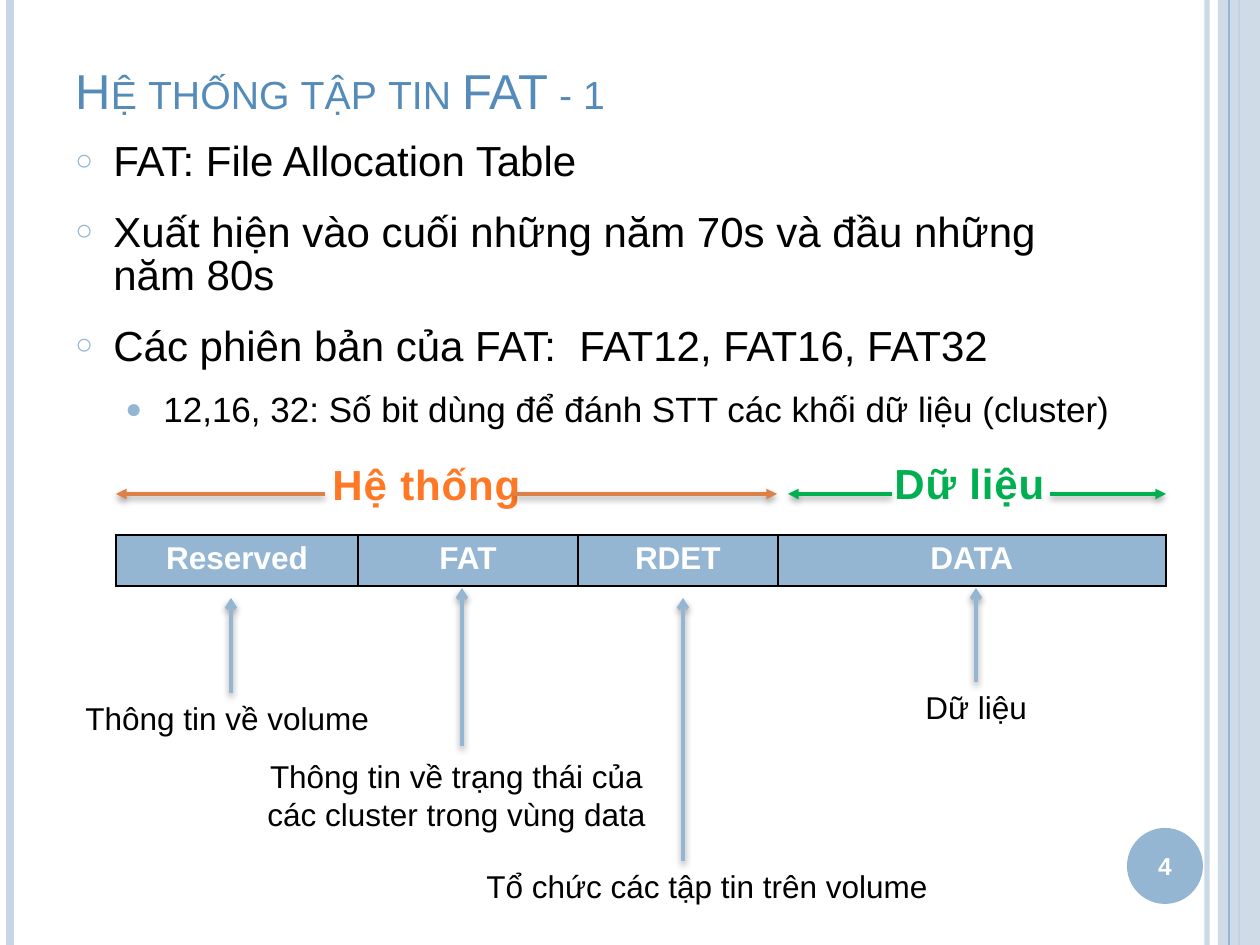
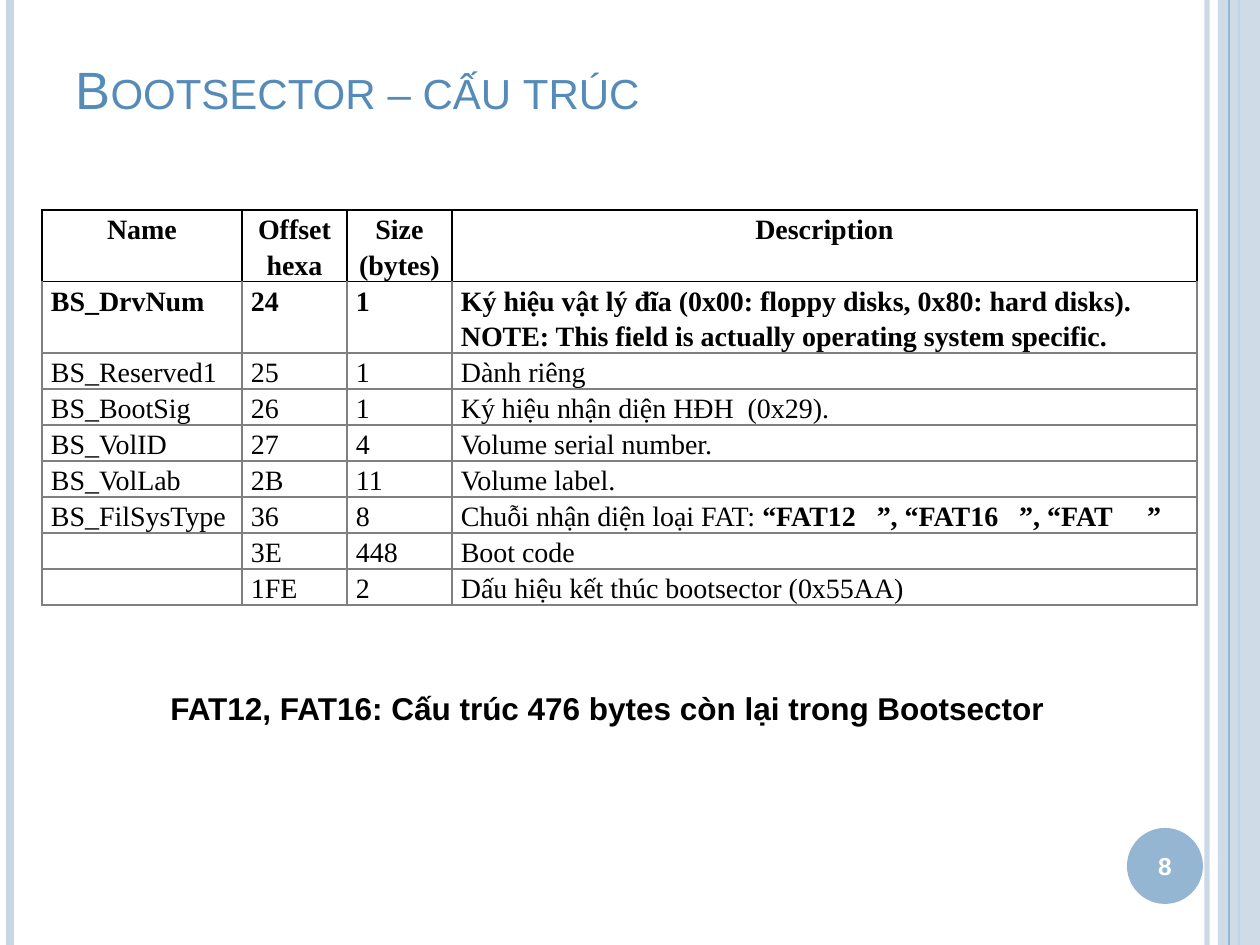
from lxml.etree import SubElement
from pptx import Presentation
from pptx.dml.color import RGBColor as RGB
from pptx.enum.shapes import MSO_CONNECTOR as CONNECTOR, MSO_SHAPE as SHAPE
from pptx.enum.text import MSO_ANCHOR as ANCHOR, MSO_AUTO_SIZE as AUTO, PP_ALIGN as ALIGN
from pptx.oxml.ns import qn
from pptx.util import Emu, Pt

WHITE = RGB(0xFF, 0xFF, 0xFF)
BLACK = RGB(0, 0, 0)
GREY = RGB(0x80, 0x80, 0x80)
BLUE = RGB(0x94, 0xB6, 0xD2)
PALE_BLUE = RGB(0xC8, 0xD7, 0xE5)
TITLE_BLUE = RGB(0x55, 0x8B, 0xB8)
ORANGE = RGB(0xDD, 0x80, 0x47)
BRIGHT_ORANGE = RGB(0xFF, 0x78, 0x25)
GREEN = RGB(0x00, 0xB0, 0x50)
SANS, SERIF = "Arial", "Times New Roman"
SLIDE_W, SLIDE_H = 1260, 945

FAT_POINTS = [
    (0, "FAT: File Allocation Table"),
    (0, "Xuất hiện vào cuối những năm 70s và đầu những năm 80s"),
    (0, "Các phiên bản của FAT:  FAT12, FAT16, FAT32"),
    (1, "12,16, 32: Số bit dùng để đánh STT các khối dữ liệu (cluster)"),
]
BULLET_LEVELS = [
    dict(char="○", bullet_size=70, indent=38, size=24, before=6),
    dict(char="●", bullet_size=80, indent=88, size=20, before=4),
]
VOLUME_AREAS = [("Reserved", 242), ("FAT", 220), ("RDET", 200), ("DATA", 388)]
AREA_NOTES = [
    ("Thông tin về volume", 158, 242, 147, (0, 242, 311, 50)),
    ("Thông tin về trạng thái của các cluster trong vùng data", 389, 295, 137,
     (158, 300, 451, 89)),
    ("Tổ chức các tập tin trên volume", 610, 410, 147, (401, 410, 471, 50)),
    ("Dữ liệu", 903, 231, 137, (840, 231, 129, 50)),
]
VOLUME_SPANS = [
    ("Hệ thống", BRIGHT_ORANGE, ORANGE, (247, 1, 215, 63), (43, 252), (441, 704)),
    ("Dữ liệu", GREEN, GREEN, (809, 0, 178, 63), (715, 819), (977, 1093)),
]
FIELD_WIDTHS = [200, 105, 105, 745]
FIELD_ROWS = [
    ("Name", "Offset\nhexa", "Size (bytes)", "Description"),
    ("BS_DrvNum", "24", "1",
     "Ký hiệu vật lý đĩa (0x00: floppy disks, 0x80: hard disks).\n"
     "NOTE: This field is actually operating system specific."),
    ("BS_Reserved1", "25", "1", "Dành riêng"),
    ("BS_BootSig", "26", "1", "Ký hiệu nhận diện HĐH  (0x29)."),
    ("BS_VolID", "27", "4", "Volume serial number."),
    ("BS_VolLab", "2B", "11", "Volume label."),
    ("BS_FilSysType", "36", "8", "Chuỗi nhận diện loại FAT: "),
    ("", "3E", "448", "Boot code"),
    ("", "1FE", "2", "Dấu hiệu kết thúc bootsector (0x55AA)"),
]
FAT_SIGNATURES = {"BS_FilSysType": "“FAT12   ”, “FAT16   ”, “FAT     ”"}


def px(length):
    """Turn px into EMU."""
    return Emu(round(length * 914400 / 126))


def write(frame, text, size=18, color=BLACK, font=SANS, bold=False, align=ALIGN.LEFT,
          line_spacing=None, bold_tail="", **run_attributes):
    """Write one paragraph per line of text and return the paragraphs."""
    lines = text.split("\n")
    paragraphs = [frame.paragraphs[0]] + [frame.add_paragraph() for _ in lines[1:]]
    for paragraph, line in zip(paragraphs, lines):
        paragraph.alignment = align
        if line_spacing:
            paragraph.line_spacing = line_spacing
        for words, weight in ((line, bold), (bold_tail, True)):
            if words:
                run = paragraph.add_run()
                run.text = words
                run.font.size, run.font.name, run.font.bold = Pt(size), font, weight
                run.font.color.rgb = color
                for key, value in run_attributes.items():
                    run.font._element.set(key, value)
        if not line:
            SubElement(paragraph._p, qn("a:endParaRPr"), sz=str(size * 100))
    return paragraphs


def add_label(slide, text, box, wrap=False, **style):
    """Add a text box that grows with its text."""
    frame = slide.shapes.add_textbox(*map(px, box)).text_frame
    frame.word_wrap = wrap
    frame.auto_size = AUTO.SHAPE_TO_FIT_TEXT
    write(frame, text, **style)


def set_alpha(shape, percent):
    """Make the first colour of a shape partly transparent."""
    colour = shape._element.spPr.find(".//" + qn("a:srgbClr"))
    SubElement(colour, qn("a:alpha"), val=str(percent * 1000))


def add_line(slide, start, end, color, width, head=None, tail=None, shadow=False):
    """Add a straight line with optional arrowheads and shadow."""
    line = slide.shapes.add_connector(CONNECTOR.STRAIGHT, *map(px, start + end))
    line.line.color.rgb = color
    line.line.width = Pt(width)
    properties = line._element.spPr
    for tag, kind in (("a:headEnd", head), ("a:tailEnd", tail)):
        if kind:
            SubElement(properties.find(qn("a:ln")), qn(tag), type=kind)
    effects = SubElement(properties, qn("a:effectLst"))
    if shadow:
        outer = SubElement(effects, qn("a:outerShdw"), blurRad=str(Pt(4)), dist=str(Pt(2)),
                           dir="5400000", rotWithShape="0")
        black = SubElement(outer, qn("a:srgbClr"), val=str(BLACK))
        SubElement(black, qn("a:alpha"), val="40000")
    return line


def add_preset(slide, preset, box, color):
    """Add a plain filled shape."""
    shape = slide.shapes.add_shape(preset, *map(px, box))
    shape.shadow.inherit = False
    shape.fill.solid()
    shape.fill.fore_color.rgb = color
    shape.line.fill.background()
    return shape


def add_side_bands(slide):
    """Draw the vertical bands at both slide edges."""
    def edge_line(x, color, width):
        return add_line(slide, (x, 0), (x, SLIDE_H), color, width)

    set_alpha(edge_line(1207, PALE_BLUE, 3), 93)
    edge_line(10, PALE_BLUE, 4.5)
    edge_line(1239, BLUE, 1.5)
    set_alpha(add_preset(slide, SHAPE.RECTANGLE, (1218, 0, 42, SLIDE_H), PALE_BLUE), 87)
    edge_line(1229, BLUE, 0.75)


def add_page_badge(slide, number, box):
    """Draw the round page number."""
    frame = add_preset(slide, SHAPE.OVAL, box, BLUE).text_frame
    frame.margin_left = frame.margin_right = frame.margin_top = frame.margin_bottom = 0
    frame.vertical_anchor = ANCHOR.MIDDLE
    write(frame, number, size=14, color=WHITE, bold=True, align=ALIGN.CENTER)


def start_slide(deck, heading, heading_size, number):
    """Add a title-only slide with the shared bands, title and page number."""
    slide = deck.slides.add_slide(deck.slide_layouts[5])
    add_side_bands(slide)
    add_page_badge(slide, number, (1127, 828, 76, 76))
    title = slide.shapes.title
    title.left, title.top, title.width, title.height = map(px, (63, 38, 1061, 88))
    title.text_frame.auto_size = AUTO.NONE
    title.text_frame.vertical_anchor = ANCHOR.BOTTOM
    write(title.text_frame, heading, size=heading_size, color=TITLE_BLUE, cap="small")
    return slide


def add_bullets(slide, points, box):
    """Write the bulleted points in the box."""
    frame = slide.shapes.add_textbox(*map(px, box)).text_frame
    frame.word_wrap = True
    levels = [BULLET_LEVELS[level] for level, _ in points]
    text = "\n".join(point for _, point in points)
    for paragraph, level in zip(write(frame, text, line_spacing=0.85), levels):
        paragraph.runs[0].font.size = Pt(level["size"])
        paragraph.space_before, paragraph.space_after = Pt(level["before"]), Pt(10)
        properties = paragraph._p.get_or_add_pPr()
        properties.set("marL", str(px(level["indent"])))
        properties.set("indent", str(px(-38)))
        SubElement(SubElement(properties, qn("a:buClr")), qn("a:srgbClr"), val=str(BLUE))
        SubElement(properties, qn("a:buSzPct"), val=str(level["bullet_size"] * 1000))
        SubElement(properties, qn("a:buFont"), typeface=SANS)
        SubElement(properties, qn("a:buChar"), char=level["char"])


def add_grid(slide, left, top, widths, heights):
    """Add a table without its banded style."""
    box = (left, top, sum(widths), sum(heights))
    grid = slide.shapes.add_table(len(heights), len(widths), *map(px, box)).table
    grid.first_row = grid.horz_banding = False
    for column, width in zip(grid.columns, widths):
        column.width = px(width)
    for row, height in zip(grid.rows, heights):
        row.height = px(height)
    return grid


def format_cell(cell, fill, border, top_border=None):
    """Set the fill and the four borders of a cell."""
    properties = cell._tc.get_or_add_tcPr()
    for side in "LRTB":
        color = top_border if side == "T" and top_border else border
        edge = SubElement(properties, qn("a:ln" + side), w=str(Pt(1)))
        SubElement(SubElement(edge, qn("a:solidFill")), qn("a:srgbClr"), val=str(color))
    cell.fill.solid()
    cell.fill.fore_color.rgb = fill


def add_volume_map(slide, left, top):
    """Draw the volume areas with their spans above and notes below."""
    def place(box):
        return (left + box[0], top + box[1], *box[2:])

    names, widths = zip(*VOLUME_AREAS)
    areas = add_grid(slide, *place((43, 84)), widths, [51])
    for cell, name in zip(areas.rows[0].cells, names):
        format_cell(cell, BLUE, BLACK)
        write(cell.text_frame, name, color=WHITE, bold=True, align=ALIGN.CENTER)
    for note, x, foot, tip, box in AREA_NOTES:
        add_line(slide, place((x, foot)), place((x, tip)), BLUE, 2, tail="arrow", shadow=True)
        two_lines = box[3] > 50
        add_label(slide, note, place(box), wrap=two_lines,
                  align=ALIGN.CENTER if two_lines else ALIGN.LEFT)
    for name, text_color, line_color, box, before, after in VOLUME_SPANS:
        add_label(slide, name, place(box), size=24, color=text_color, bold=True, spc="50")
        for (start, end), heads in ((before, {"head": "triangle"}), (after, {"tail": "triangle"})):
            add_line(slide, place((start, 43)), place((end, 43)), line_color, 2,
                     shadow=True, **heads)


def add_field_table(slide, left, top):
    """Add the table of boot sector fields."""
    fields = add_grid(slide, left, top, FIELD_WIDTHS, [71, 71] + [36] * 7)
    for index, (row, texts) in enumerate(zip(fields.rows, FIELD_ROWS)):
        for column, (cell, text) in enumerate(zip(row.cells, texts)):
            format_cell(cell, WHITE, GREY if index else BLACK, BLACK if index == 1 else None)
            cell.margin_left = cell.margin_right = px(9)
            cell.margin_top = cell.margin_bottom = 0
            write(cell.text_frame, text, size=16, font=SERIF, bold=index < 2,
                  align=ALIGN.LEFT if index else ALIGN.CENTER, line_spacing=1.15,
                  bold_tail=FAT_SIGNATURES.get(texts[0], "") if column == 3 else "")


def build_fat_slide(deck):
    """Build the overview of the FAT file system."""
    slide = start_slide(deck, "Hệ thống tập tin FAT - 1", 28, "4")
    add_bullets(slide, FAT_POINTS, (63, 136, 1061, 756))
    add_volume_map(slide, 73, 451)


def build_bootsector_slide(deck):
    """Build the boot sector structure."""
    slide = start_slide(deck, "Bootsector – cấu trúc", 30, "8")
    add_field_table(slide, 42, 210)
    add_label(slide, "FAT12, FAT16: Cấu trúc 476 bytes còn lại trong Bootsector",
              (158, 683, 907, 50), bold=True)


def main():
    """Build and save the deck."""
    deck = Presentation()
    deck.slide_width, deck.slide_height = px(SLIDE_W), px(SLIDE_H)
    build_fat_slide(deck)
    build_bootsector_slide(deck)
    deck.save("out.pptx")


if __name__ == "__main__":
    main()
